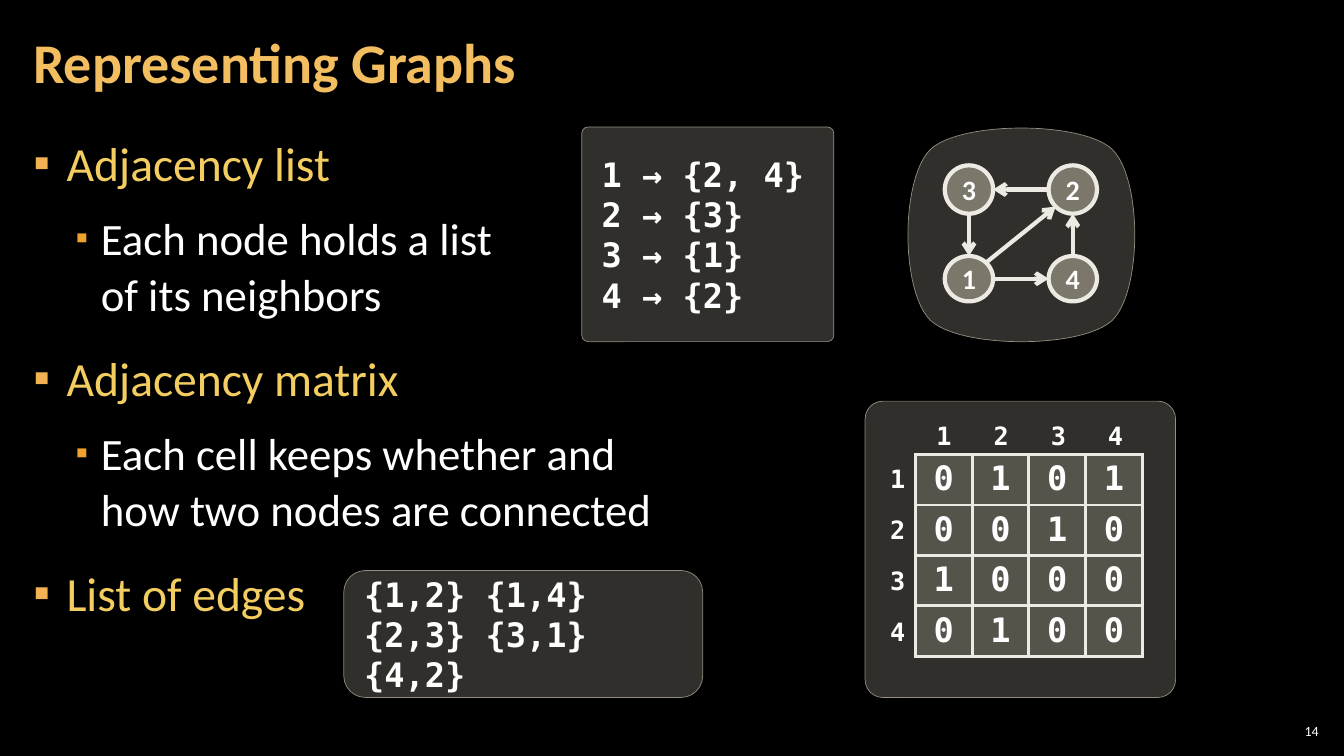
from dataclasses import dataclass
from math import hypot
from typing import NamedTuple

from lxml.etree import SubElement as Sub
from pptx import Presentation
from pptx.dml.color import RGBColor as Rgb
from pptx.enum.shapes import MSO_CONNECTOR as Link, MSO_SHAPE as Kind
from pptx.enum.text import MSO_ANCHOR as Anchor, MSO_AUTO_SIZE as Fit, PP_ALIGN as Align
from pptx.oxml.ns import qn
from pptx.util import Inches, Pt


@dataclass(frozen=True)
class Theme:
    sans: str = "Calibri"
    mono: str = "DejaVu Sans Mono"
    back: str = "000000"
    white: str = "FFFFFF"
    title: str = "F3BE60"
    topic: str = "F3CD60"
    mark: str = "F2B254"
    dot: str = "F0A22E"
    sand: str = "C7BFAC"
    pale: str = "ECEAE3"
    head: int = 40
    main: int = 34
    sub: int = 32
    code: int = 24
    node: int = 20
    label: int = 18
    page: int = 10


class Box(NamedTuple):
    x: float
    y: float
    w: float
    h: float

    def emu(self) -> list:
        return [Inches(v) for v in self]


class Item(NamedTuple):
    lines: list
    level: int = 0
    before: int = 6


class Panel(NamedTuple):
    box: Box
    round: float
    pad: float = 0.04
    lines: tuple = ()


class Node(NamedTuple):
    name: str
    box: Box

    def mid(self) -> tuple:
        return self.box.x + self.box.w / 2, self.box.y + self.box.h / 2

    def rim(self, other: "Node") -> tuple:
        (x, y), (u, v) = self.mid(), other.mid()
        sx, sy = [(d > 0.1) - (d < -0.1) for d in (u - x, v - y)]
        size = hypot(sx, sy)
        return x + sx / size * self.box.w / 2, y + sy / size * self.box.h / 2


T = Theme()
ITEMS = [
    Item(["Adjacency list"], before=0),
    Item(["Each node holds a list", "of its neighbors"], 1),
    Item(["Adjacency matrix"], before=12),
    Item(["Each cell keeps whether and", "how two nodes are connected"], 1),
    Item(["List of edges"], before=12),
]
GRID = Panel(Box(8.58, 3.98, 3.08, 2.94), 0.06)
CODES = [
    Panel(Box(3.41, 5.66, 3.56, 1.26), 0.17, 0.04, ("{1,2} {1,4} {2,3} {3,1} {4,2}",)),
    Panel(Box(5.77, 1.26, 2.5, 2.13), 0.03, 0.08,
          ("1 → {2, 4}", "2 → {3}", "3 → {1}", "4 → {2}")),
]
NODES = [
    Node("1", Box(9.37, 2.54, 0.48, 0.45)),
    Node("2", Box(10.4, 1.64, 0.48, 0.48)),
    Node("3", Box(9.37, 1.64, 0.48, 0.48)),
    Node("4", Box(10.4, 2.54, 0.48, 0.45)),
]
EDGES = ["12", "14", "23", "31", "42"]
CELLS = ["0101", "0010", "1000", "0100"]


def style(para, size: int, color: str, face: str = T.mono, bold: bool = True) -> None:
    font = para.font
    font.size, font.name, font.bold = Pt(size), face, bold
    font.color.rgb = Rgb.from_string(color)


def fade(node, percent: int) -> None:
    tint = node.find(qn("a:solidFill")).find(qn("a:srgbClr"))
    Sub(tint, qn("a:alpha"), val=str(percent * 1000))


def paint(shape, alpha: int, edge: str, width: float) -> None:
    shape.shadow.inherit = False
    shape.fill.solid()
    shape.fill.fore_color.rgb = Rgb.from_string(T.sand)
    fade(shape._element.spPr, alpha)
    shape.line.color.rgb = Rgb.from_string(edge)
    shape.line.width = Pt(width)


def frost(shape) -> None:
    paint(shape, 25, T.sand, 0.5)
    fade(shape._element.spPr.find(qn("a:ln")), 70)


def inset(frame, side: float, edge: float) -> None:
    frame.margin_left = frame.margin_right = Inches(side)
    frame.margin_top = frame.margin_bottom = Inches(edge)


def place(shape, box: Box):
    shape.left, shape.top, shape.width, shape.height = box.emu()
    frame = shape.text_frame
    frame.auto_size, frame.word_wrap = Fit.NONE, True
    inset(frame, 0.12, 0.04)
    return frame


def add_head(slide) -> None:
    frame = place(slide.shapes.title, Box(0.21, 0.04, 10.47, 1.21))
    frame.vertical_anchor = Anchor.MIDDLE
    para = frame.paragraphs[0]
    para.text, para.alignment, para.line_spacing = "Representing Graphs", Align.LEFT, 0.9
    style(para, T.head, T.title, T.sans)


def add_list(slide) -> None:
    frame = place(slide.placeholders[1], Box(0.21, 1.26, 12.91, 6.09))
    frame.vertical_anchor = Anchor.TOP
    for i, item in enumerate(ITEMS):
        para = frame.add_paragraph() if i else frame.paragraphs[0]
        for j, line in enumerate(item.lines):
            if j:
                para.add_line_break()
            para.add_run().text = line
        para.level = item.level
        left, hang, tint, size, color, scale = [
            (0.33, 0.33, T.mark, T.main, T.topic, 100),
            (0.67, 0.25, T.dot, T.sub, T.white, 80),
        ][item.level]
        props = para._p.get_or_add_pPr()
        props.set("marL", str(Inches(left)))
        props.set("indent", str(-Inches(hang)))
        Sub(Sub(props, qn("a:buClr")), qn("a:srgbClr"), val=tint)
        Sub(props, qn("a:buSzPct"), val=str(scale * 1000))
        Sub(props, qn("a:buChar"), char="▪")
        para.line_spacing = 1.05
        para.space_before, para.space_after = Pt(item.before), Pt(6)
        style(para, size, color, T.sans, False)


def add_panel(slide, panel: Panel) -> None:
    shape = slide.shapes.add_shape(Kind.ROUNDED_RECTANGLE, *panel.box.emu())
    shape.adjustments[0] = panel.round
    frost(shape)
    frame = shape.text_frame
    frame.word_wrap, frame.vertical_anchor = True, Anchor.MIDDLE
    inset(frame, panel.pad, max(panel.pad, 0.05))
    for i, line in enumerate(panel.lines):
        para = frame.add_paragraph() if i else frame.paragraphs[0]
        para.text, para.alignment = line, Align.LEFT
        para._p.get_or_add_pPr().set("marL", str(Inches(0.1)))
        style(para, T.code, T.white)


def add_label(slide, text: str, x: float, y: float) -> None:
    frame = slide.shapes.add_textbox(*Box(x, y, 0.34, 0.4).emu()).text_frame
    frame.word_wrap, frame.auto_size = False, Fit.SHAPE_TO_FIT_TEXT
    para = frame.paragraphs[0]
    para.text, para.alignment = text, Align.CENTER
    style(para, T.label, T.white)


def add_grid(slide) -> None:
    table = slide.shapes.add_table(4, 4, *Box(9.08, 4.51, 2.25, 2).emu()).table
    table.first_row = table.horz_banding = False
    for r, row in enumerate(CELLS):
        for c, text in enumerate(row):
            cell = table.cell(r, c)
            props = cell._tc.get_or_add_tcPr()
            for side in ("lnL", "lnR", "lnT", "lnB"):
                line = Sub(props, qn(f"a:{side}"), w=str(Pt(2.25)))
                Sub(Sub(line, qn("a:solidFill")), qn("a:srgbClr"), val=T.pale)
            cell.fill.solid()
            cell.fill.fore_color.rgb = Rgb.from_string(T.sand)
            fade(props, 25)
            para = cell.text_frame.paragraphs[0]
            para.text, para.alignment = text, Align.CENTER
            style(para, T.code, T.white)
    for i, node in enumerate(NODES):
        add_label(slide, node.name, 8.73, 4.55 + 0.505 * i)
        add_label(slide, node.name, 9.19 + 0.567 * i, 4.12)


def add_blob(group) -> None:
    curves = [
        [(-0.9, 0.85), (-1.2, 0.56), (-1.2, -0.56), (-0.9, -0.85)],
        [(-0.9, -0.85), (-0.6, -1.13), (0.6, -1.13), (0.9, -0.85)],
    ]
    curves += [[(-x, -y) for x, y in curve] for curve in curves]
    spots = []
    for curve in curves:
        for t in (i / 24 for i in range(24)):
            parts = ((1 - t) ** 3, 3 * t * (1 - t) ** 2, 3 * t * t * (1 - t), t ** 3)
            x, y = [sum(p * v for p, v in zip(parts, axis)) for axis in zip(*curve)]
            spots.append((Inches(10.13 + x), Inches(2.33 + y)))
    pen = group.shapes.build_freeform(*spots[0])
    pen.add_line_segments(spots[1:], close=True)
    frost(pen.convert_to_shape())


def add_node(group, node: Node) -> None:
    shape = group.shapes.add_shape(Kind.OVAL, *node.box.emu())
    paint(shape, 50, T.pale, 3)
    frame = shape.text_frame
    frame.vertical_anchor = Anchor.MIDDLE
    inset(frame, 0.04, 0.05)
    para = frame.paragraphs[0]
    para.text, para.alignment = node.name, Align.CENTER
    style(para, T.node, T.white, T.sans)


def add_edge(group, start: Node, end: Node) -> None:
    ends = [Inches(v) for v in start.rim(end) + end.rim(start)]
    line = group.shapes.add_connector(Link.STRAIGHT, *ends)
    line.line.color.rgb = Rgb.from_string(T.pale)
    line.line.width = Pt(3)
    props = line._element.spPr
    Sub(props.find(qn("a:ln")), qn("a:tailEnd"), type="arrow")
    Sub(props, qn("a:effectLst"))


def add_graph(slide) -> None:
    group = slide.shapes.add_group_shape()
    add_blob(group)
    for node in NODES:
        add_node(group, node)
    names = {node.name: node for node in NODES}
    for start, end in EDGES:
        add_edge(group, names[start], names[end])


def add_page(slide) -> None:
    frame = slide.shapes.add_textbox(*Box(12.65, 7.14, 0.47, 0.22).emu()).text_frame
    frame.word_wrap, frame.vertical_anchor = True, Anchor.MIDDLE
    inset(frame, 0.04, 0.04)
    para = frame.paragraphs[0]
    para.text, para.alignment = "14", Align.RIGHT
    style(para, T.page, T.white, T.sans, False)


def main() -> None:
    deck = Presentation()
    deck.slide_width, deck.slide_height = Inches(13.33), Inches(7.5)
    slide = deck.slides.add_slide(deck.slide_layouts[1])
    slide.background.fill.solid()
    slide.background.fill.fore_color.rgb = Rgb.from_string(T.back)
    add_head(slide)
    add_list(slide)
    add_panel(slide, GRID)
    add_grid(slide)
    for panel in CODES:
        add_panel(slide, panel)
    add_graph(slide)
    add_page(slide)
    deck.save("out.pptx")


if __name__ == "__main__":
    main()
